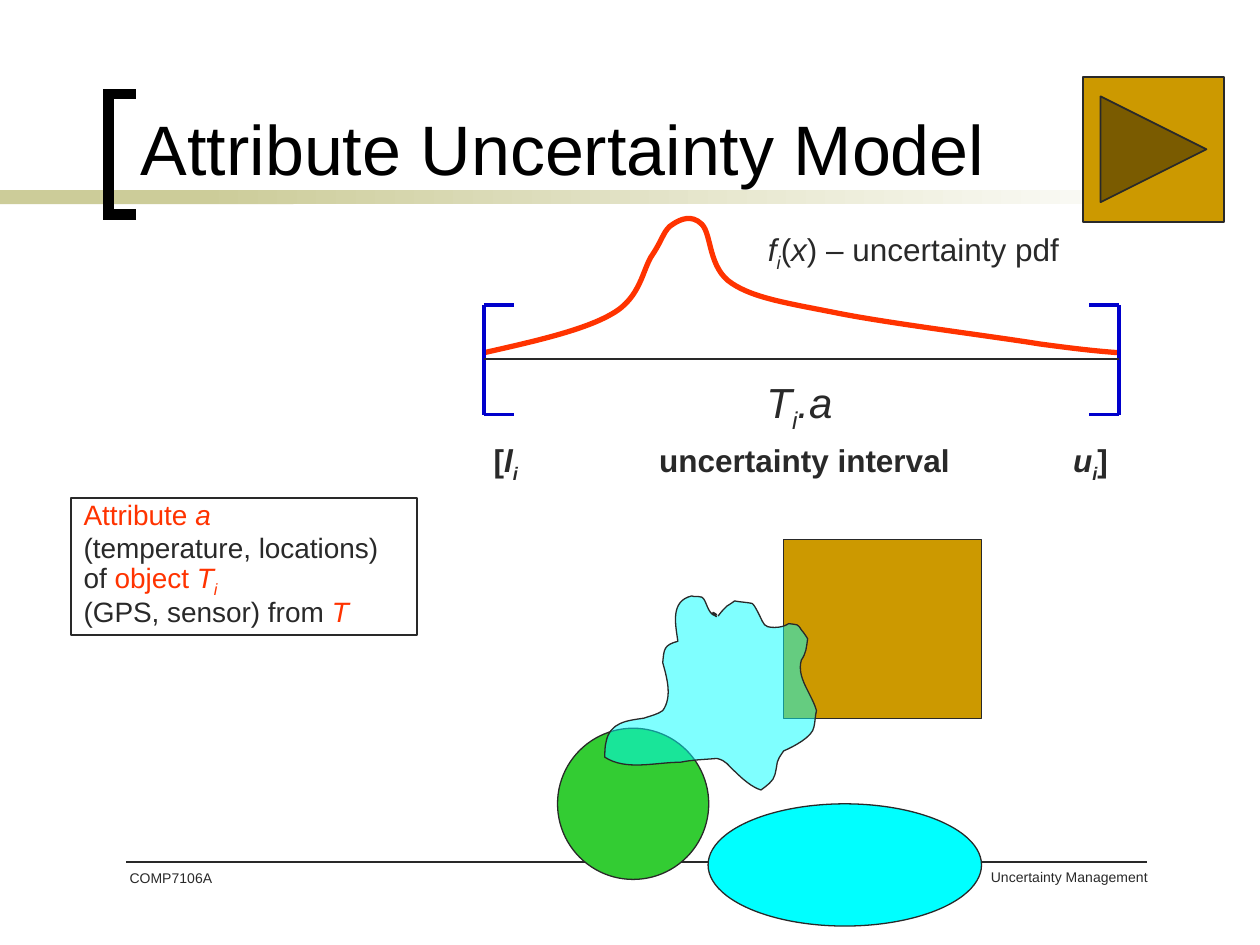
from lxml.etree import SubElement
from pptx import Presentation
from pptx.dml.color import RGBColor
from pptx.enum.shapes import MSO_CONNECTOR as CONN, MSO_SHAPE as SHAPE
from pptx.enum.text import MSO_ANCHOR as ANCHOR, PP_ALIGN as ALIGN
from pptx.oxml.ns import qn
from pptx.util import Emu, Inches, Pt

COLS = 100
CELL = Inches(10) // COLS
FONT = "Arial"
COLORS = {
    "black": "000000", "ink": "292929", "white": "FFFFFF", "sand": "CCCC99",
    "gold": "CC9900", "red": "FF3300", "blue": "0000CC", "green": "33CC33",
    "cyan": "00FFFF",
}

PDF_START = (38.4, 28)
PDF_CURVE = [
    (42.4, 27.1, 46.4, 26.2, 48.6, 24.9), (50.9, 23.6, 51, 21.3, 51.8, 20.2),
    (52.6, 19, 52.7, 18.2, 53.4, 17.8), (54, 17.4, 54.9, 17, 55.7, 17.8),
    (56.5, 18.6, 56.2, 21.3, 58.1, 22.5), (59.9, 23.7, 62.7, 24.1, 66.7, 24.9),
    (70.8, 25.7, 78.8, 26.7, 82.5, 27.3), (86.2, 27.8, 87.5, 27.9, 88.8, 28),
]
BLOB_START = (57, 48.9)
BLOB_CURVE = [
    (57.2, 48.6, 57.4, 48.4, 57.7, 48.1), (57.9, 48, 58.3, 47.7, 58.3, 47.7),
    (58.8, 47.8, 59.3, 47.8, 59.7, 47.9), (59.9, 48, 60.4, 49.1, 60.5, 49.3),
    (60.7, 49.8, 61.1, 49.8, 61.5, 49.8), (61.9, 49.8, 62.3, 49.7, 62.6, 49.5),
    (63.3, 49.6, 63.3, 49.5, 63.6, 50), (63.8, 50.2, 64.1, 50.7, 64.1, 50.7),
    (64, 51.4, 64, 51.8, 63.6, 52.4), (63.2, 53.8, 64.4, 55, 64.8, 56.4),
    (64.7, 56.8, 64.7, 57.3, 64.6, 57.7), (64.5, 58.5, 62.9, 59.3, 62.2, 59.6),
    (61.5, 60.6, 61.8, 60.3, 61.5, 61.5), (61.4, 62, 60.8, 62.4, 60.4, 62.7),
    (59.7, 62.5, 58.9, 61.8, 58.4, 61.3), (57.7, 60.7, 57.7, 60.4, 56.9, 60.2),
    (55.7, 60.3, 55, 60.3, 54, 60.5), (52, 60.5, 49.7, 61.2, 48, 60.1),
    (48, 59.7, 48, 59.3, 48.1, 58.9), (48.4, 57.3, 49.8, 57.2, 51.1, 57),
    (51.7, 56.8, 52.2, 56.7, 52.6, 56.4), (53.4, 55.3, 52.9, 53.7, 52.6, 52.6),
    (52.7, 51.5, 52.7, 51.2, 53.8, 50.9), (53.6, 49.5, 53.2, 47.7, 54.9, 47.3),
    (55.1, 47.4, 55.4, 47.3, 55.7, 47.4), (56.1, 47.6, 56.1, 48.7, 56.8, 48.9),
    (57.1, 49.2, 56.1, 48.2, 56.9, 48.8),
]


def rgb(name):
    return RGBColor.from_string(COLORS[name])


def cells(*values):
    return [Emu(round(v * CELL)) for v in values]


def paint(s, fill=None, line=None, width=0.75):
    s.shadow.inherit = False
    if fill:
        s.fill.solid()
        s.fill.fore_color.rgb = rgb(fill)
    else:
        s.fill.background()
    if line:
        s.line.color.rgb = rgb(line)
        s.line.width = Pt(width)
    else:
        s.line.fill.background()
    return s


def add_block(slide, kind, box, **style):
    return paint(slide.shapes.add_shape(kind, *cells(*box)), **style)


def add_line(slide, start, end, color, width):
    s = slide.shapes.add_connector(CONN.STRAIGHT, *cells(*start, *end))
    s.line.color.rgb = rgb(color)
    s.line.width = Pt(width)
    SubElement(s.element.spPr, qn("a:effectLst"))


def add_path(slide, points, **style):
    first, *rest = [cells(*point) for point in points]
    builder = slide.shapes.build_freeform(*first)
    builder.add_line_segments(rest, close=False)
    return paint(builder.convert_to_shape(), **style)


def add_curve(slide, start, segments, **style):
    points = [start] + [seg[i:i + 2] for seg in segments for i in (0, 2, 4)]
    s = add_path(slide, points, **style)
    outline = next(s.element.iter(qn("a:path")))
    steps = outline.findall(qn("a:lnTo"))
    for i in range(0, len(steps), 3):
        bezier = SubElement(outline, qn("a:cubicBezTo"))
        for step in steps[i:i + 3]:
            bezier.append(step[0])
            outline.remove(step)
    return s


def add_bracket(slide, back, tip, top, bottom, color):
    s = add_path(slide, [(tip, bottom), (back, bottom), (back, top), (tip, top)],
                 line=color, width=6)
    ln = s.element.spPr.find(qn("a:ln"))
    SubElement(ln, qn("a:miter")).set("lim", "800000")


def add_run(p, text, size, flags="", color="ink"):
    r = p.add_run()
    r.text = text
    r.font.name = FONT
    r.font.size = Pt(size)
    r.font.bold = "b" in flags
    r.font.italic = "i" in flags
    r.font.color.rgb = rgb(color)
    if "_" in flags:
        r.font._element.set("baseline", "-25000")


def add_label(slide, box, size, *runs, align=ALIGN.CENTER, wrap=False, anchor=ANCHOR.TOP):
    tf = slide.shapes.add_textbox(*cells(*box)).text_frame
    tf.word_wrap = wrap
    tf.vertical_anchor = anchor
    p = tf.paragraphs[0]
    p.alignment = align
    for text, *style in runs:
        add_run(p, text, size, *style)


def add_note(slide, box, size, paragraphs):
    s = add_block(slide, SHAPE.RECTANGLE, box, line="ink", width=1)
    tf = s.text_frame
    tf.word_wrap = True
    tf.vertical_anchor = ANCHOR.TOP
    for i, runs in enumerate(paragraphs):
        p = tf.add_paragraph() if i else tf.paragraphs[0]
        p.alignment = ALIGN.LEFT
        p.line_spacing = 0.8
        p.space_before = Pt(0.23 * size if i else 0)
        for text, *style in runs:
            add_run(p, text, size, *style)


def add_frame(slide):
    add_block(slide, SHAPE.RECTANGLE, (0, 15.1, 23.3, 1.1), fill="sand")
    fade = add_block(slide, SHAPE.RECTANGLE, (15.8, 15.1, 79.2, 1.1))
    fade.fill.gradient()
    fade.fill.gradient_angle = 0
    for stop, color, position in zip(fade.fill.gradient_stops, ("sand", "white"), (0, 1)):
        stop.color.rgb = rgb(color)
        stop.position = position
    add_bracket(slide, 8.6, 10.8, 7.45, 17.05, "black")
    add_bracket(slide, 89.4, 87, 7.2, 17.1, "gold")
    add_label(slide, (50.7, 68.4, 41.4, 5), 8, ("Uncertainty Management",),
              align=ALIGN.RIGHT, wrap=True)
    add_line(slide, (10, 68.4), (91, 68.4), "ink", 1)
    add_label(slide, (9.3, 68.5, 11.7, 5), 8, ("COMP7106A",), align=ALIGN.LEFT, wrap=True)
    add_label(slide, (10.2, 5.4, 78.3, 10.1), 40, ("Attribute Uncertainty Model", "", "black"),
              align=ALIGN.LEFT, wrap=True, anchor=ANCHOR.BOTTOM)


def add_interval(slide):
    left, right, top, bottom, tick = 38.4, 88.8, 24.2, 32.9, 2.4
    add_curve(slide, PDF_START, PDF_CURVE, line="red", width=3)
    for x, inner in ((left, left + tick), (right, right - tick)):
        add_line(slide, (x, top), (x, bottom), "blue", 2.25)
        for y in (top, bottom):
            add_line(slide, (x, y), (inner, y), "blue", 2.25)
    add_line(slide, (left, 28.5), (right, 28.5), "ink", 0.75)
    add_label(slide, (59.9, 17.8, 25.2, 4), 18, ("f", "i"), ("i", "i_"), ("(",),
              ("x", "i"), (") – uncertainty pdf",))
    add_label(slide, (59.8, 29.4, 7.3, 5), 24, ("T", "i"), ("i", "i_"), (".a", "i"), wrap=True)
    add_label(slide, (38, 34.5, 4.3, 4), 18, ("[", "b"), ("l", "bi"), ("i", "bi_"))
    add_label(slide, (51.3, 34.5, 25.1, 4), 18, ("uncertainty interval", "b"))
    add_label(slide, (84, 34.5, 5.1, 4), 18, ("u", "bi"), ("i", "bi_"), ("]", "b"))


def add_regions(slide):
    add_block(slide, SHAPE.OVAL, (44.25, 57.8, 12, 12), fill="green", line="ink")
    add_block(slide, SHAPE.OVAL, (56.2, 63.8, 21.7, 9.7), fill="cyan", line="ink")
    add_block(slide, SHAPE.RECTANGLE, (62.2, 42.8, 15.7, 14.2), fill="gold", line="ink")
    blob = add_curve(slide, BLOB_START, BLOB_CURVE, fill="cyan", line="ink")
    tint = blob.element.spPr.find(qn("a:solidFill")).find(qn("a:srgbClr"))
    SubElement(tint, qn("a:alpha")).set("val", "50000")


def main():
    prs = Presentation()
    prs.slide_width, prs.slide_height = cells(COLS, 75)
    slide = prs.slides.add_slide(prs.slide_layouts[6])
    add_frame(slide)
    add_interval(slide)
    add_note(slide, (5.65, 39.5, 27.45, 10.9), 16, [
        [("Attribute ", "", "red"), ("a", "i", "red")],
        [("(temperature, locations) of ",), ("object ", "", "red"),
         ("T", "i", "red"), ("i", "i_", "red")],
        [("(GPS, sensor) from ",), ("T", "i", "red")],
    ])
    add_regions(slide)
    add_block(slide, SHAPE.ACTION_BUTTON_FORWARD_OR_NEXT, (85.95, 6.1, 11.2, 11.5),
              fill="gold", line="ink", width=1)
    prs.save("out.pptx")


if __name__ == "__main__":
    main()
